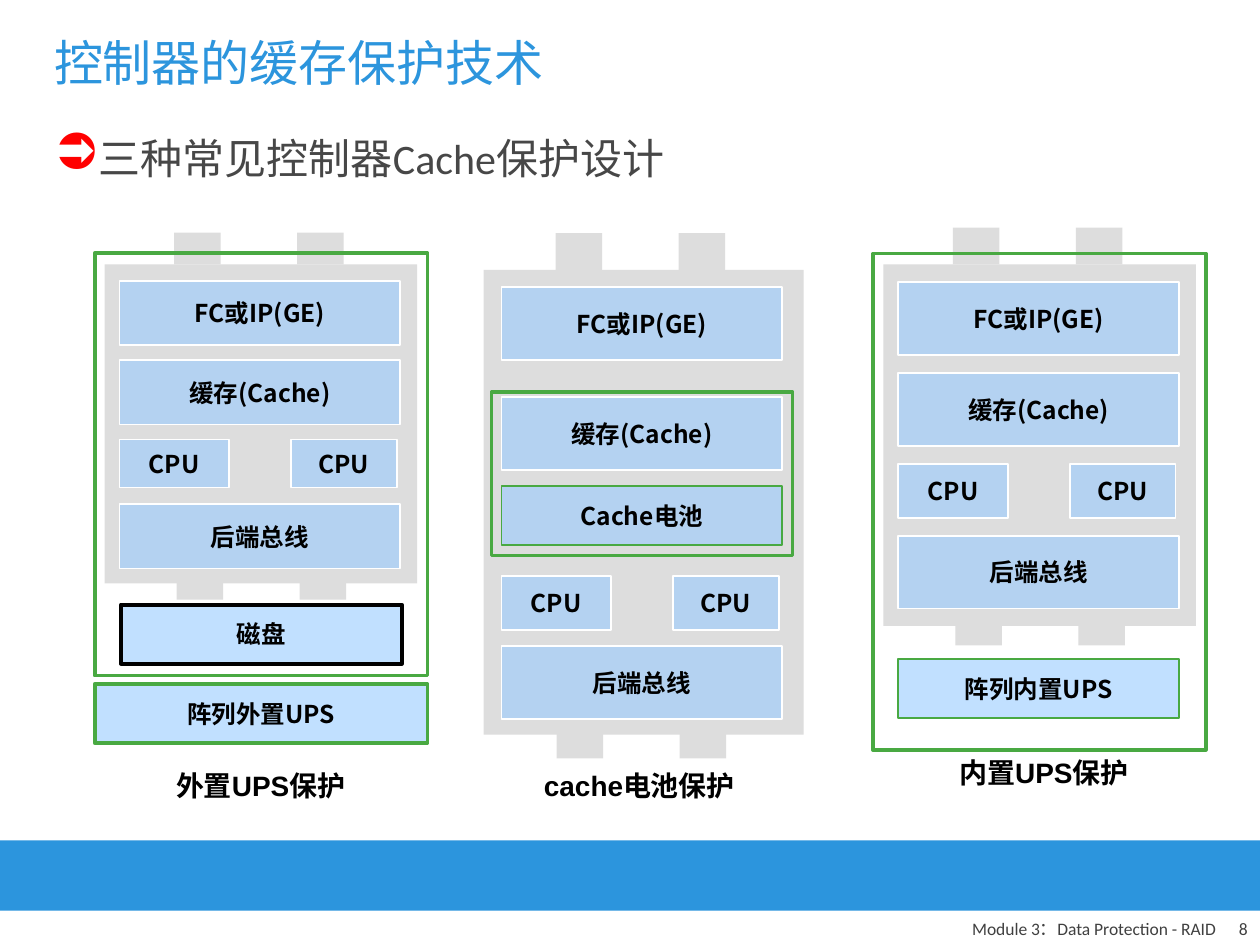
from dataclasses import dataclass
from typing import NamedTuple

from lxml.etree import SubElement
from pptx import Presentation
from pptx.dml.color import RGBColor
from pptx.enum.shapes import MSO_SHAPE as Preset
from pptx.enum.text import MSO_ANCHOR as Anchor, MSO_AUTO_SIZE as AutoSize, PP_ALIGN as Align
from pptx.oxml.ns import qn
from pptx.util import Cm, Pt


class Box(NamedTuple):
    left: float
    top: float
    width: float
    height: float

    def inner(self, left, top, width, height):
        """Return a box whose corner is measured from this one."""
        return Box(self.left + left, self.top + top, width, height)

    def lengths(self):
        """Return the four measures as slide lengths."""
        return [Cm(value) for value in self]


@dataclass(frozen=True)
class Theme:
    blue: str = "2C95DD"
    body: str = "474747"
    footer: str = "404040"
    black: str = "000000"
    white: str = "FFFFFF"
    red: str = "FF0000"
    green: str = "49A942"
    chassis: str = "DDDDDD"
    block: str = "99CCFF"
    block_alpha: int = 60
    title_font: str = "Times New Roman"
    body_font: str = "Calibri"
    block_font: str = "Noto Sans CJK SC"
    caption_font: str = "Arial"
    east_asian_font: str = "Noto Sans CJK SC"
    title_size: int = 28
    body_size: int = 24
    caption_size: int = 16
    block_size: int = 14
    footer_size: int = 10


THEME = Theme()
BLOCK_WIDTH = 5.66
BLOCK_LOW = 1.19
FRAME_WIDTH = 6.71


def write(shape, text, font_name, size, color, bold=False, align=Align.LEFT,
          anchor=Anchor.TOP, wrap=True):
    """Write one styled paragraph into a shape and return it."""
    frame = shape.text_frame
    frame.word_wrap = wrap
    frame.vertical_anchor = anchor
    paragraph = frame.paragraphs[0]
    paragraph.text = text
    paragraph.alignment = align
    font = paragraph.font
    font.name, font.size, font.bold = font_name, Pt(size), bold
    font.color.rgb = RGBColor.from_string(color)
    properties = paragraph._p.pPr.find(qn("a:defRPr"))
    SubElement(properties, qn("a:ea")).set("typeface", THEME.east_asian_font)
    return paragraph


def rectangle(shapes, box, fill=None, line=None, weight=1):
    """Draw a plain rectangle with an optional fill and outline."""
    shape = shapes.add_shape(Preset.RECTANGLE, *box.lengths())
    shape.shadow.inherit = False
    if fill:
        shape.fill.solid()
        shape.fill.fore_color.rgb = RGBColor.from_string(fill)
    else:
        shape.fill.background()
    if line:
        shape.line.color.rgb = RGBColor.from_string(line)
        shape.line.width = Pt(weight)
    else:
        shape.line.fill.background()
    return shape


def block(shapes, box, label, line=THEME.white, weight=1):
    """Draw a translucent labelled component."""
    shape = rectangle(shapes, box, THEME.block, line, weight)
    color = shape._element.spPr.find(f"{qn('a:solidFill')}/{qn('a:srgbClr')}")
    SubElement(color, qn("a:alpha")).set("val", str(THEME.block_alpha * 1000))
    write(shape, label, THEME.block_font, THEME.block_size, THEME.black, True,
          Align.CENTER, Anchor.MIDDLE, wrap=False)


def controller(slide, body, port, foot, port_left, inset, row_tops, row_height, cpu_height):
    """Draw a controller chassis with its ports, feet and components, and return its shapes."""
    shapes = slide.shapes.add_group_shape().shapes
    rectangle(shapes, body, THEME.chassis)
    foot_top, foot_height, foot_shift = foot
    for left in (port_left, port_left + 2.48):
        rectangle(shapes, body.inner(left, -port, 0.94, port), THEME.chassis)
        rectangle(shapes, body.inner(left + foot_shift, foot_top, 0.94, foot_height), THEME.chassis)
    front, cache, cpu, bus = row_tops
    for top, label in ((front, "FC或IP(GE)"), (cache, "缓存(Cache)"), (bus, "后端总线")):
        block(shapes, body.inner(inset, top, BLOCK_WIDTH, row_height), label)
    for left, width in ((0, 2.21), (3.46, 2.13)):
        block(shapes, body.inner(inset + left, cpu, width, cpu_height), "CPU")
    return shapes


def caption(slide, box, text):
    """Place the name of a protection design below its diagram."""
    shape = slide.shapes.add_textbox(*box.lengths())
    write(shape, text, THEME.caption_font, THEME.caption_size, THEME.black, True,
          Align.CENTER, wrap=False)
    shape.text_frame.auto_size = AutoSize.SHAPE_TO_FIT_TEXT


def external_ups(slide, box):
    """Draw the design in which a separate UPS feeds controller and disk."""
    shapes = controller(slide, box.inner(0.2, 0.22, 6.3, 6.43), port=0.64,
                        foot=(6.12, 0.64, 0.05), port_left=1.4, inset=0.3,
                        row_tops=(0.33, 1.93, 3.53, 4.83), row_height=1.3, cpu_height=0.97)
    block(shapes, box.inner(0.53, 7.08, BLOCK_WIDTH, BLOCK_LOW), "磁盘", THEME.black, 2.25)
    rectangle(slide.shapes, box.inner(0, 0, FRAME_WIDTH, 8.51), line=THEME.green, weight=2.25)
    block(slide.shapes, box.inner(0, 8.68, FRAME_WIDTH, BLOCK_LOW), "阵列外置UPS",
          THEME.green, 2.25)
    caption(slide, box.inner(1.25, 10.26, 4.19, 0.94), "外置UPS保护")


def cache_battery(slide, box):
    """Draw the design in which a battery keeps the cache alive."""
    controller(slide, box.inner(0, 0, 6.45, 9.37), port=0.74,
               foot=(8.99, 0.86, 0.02), port_left=1.45, inset=0.36,
               row_tops=(0.35, 2.56, 6.17, 7.59), row_height=1.47, cpu_height=1.09)
    block(slide.shapes, box.inner(0.36, 4.36, BLOCK_WIDTH, BLOCK_LOW), "Cache电池", THEME.green)
    rectangle(slide.shapes, box.inner(0.16, 2.46, 6.07, 3.3), line=THEME.green, weight=2)
    caption(slide, box.inner(0.89, 9.93, 4.5, 0.94), "cache电池保护")


def internal_ups(slide, box):
    """Draw the design in which the UPS sits inside the array."""
    controller(slide, box.inner(0.21, 0.22, 6.3, 7.29), port=0.74,
               foot=(6.94, 0.74, 0.05), port_left=1.4, inset=0.3,
               row_tops=(0.36, 2.19, 4.02, 5.47), row_height=1.47, cpu_height=1.09)
    block(slide.shapes, box.inner(0.51, 8.17, BLOCK_WIDTH, BLOCK_LOW), "阵列内置UPS", THEME.green)
    rectangle(slide.shapes, box.inner(0, 0, FRAME_WIDTH, 10.01), line=THEME.green, weight=2)
    caption(slide, box.inner(1.35, 10, 4.19, 0.94), "内置UPS保护")


def heading(slide, box):
    """Write the slide title and the bulleted statement below it."""
    title = slide.shapes.add_textbox(*box.inner(0, 0, box.width, 2.11).lengths())
    write(title, "控制器的缓存保护技术", THEME.title_font, THEME.title_size, THEME.blue,
          anchor=Anchor.MIDDLE)
    statement = slide.shapes.add_textbox(*box.inner(0, 2.34, box.width, 12.9).lengths())
    paragraph = write(statement, "三种常见控制器Cache保护设计", THEME.body_font,
                      THEME.body_size, THEME.body)
    paragraph.space_before = Pt(6)
    properties = paragraph._p.get_or_add_pPr()
    indent = Cm(0.64)
    properties.set("marL", str(indent))
    properties.set("indent", str(-indent))
    bullet_color = SubElement(properties, qn("a:buClr"))
    SubElement(bullet_color, qn("a:srgbClr")).set("val", THEME.red)
    SubElement(properties, qn("a:buSzPct")).set("val", "120000")
    SubElement(properties, qn("a:buChar")).set("char", "➲")
    properties.append(properties.find(qn("a:defRPr")))


def footer(slide, box):
    """Draw the bottom band with the module name and page number below it."""
    rectangle(slide.shapes, box.inner(0, 0, box.width, 1.42), THEME.blue)
    for left, width, text in ((13.13, 11.63, "Module 3：Data Protection - RAID"),
                              (24.13, 1.27, "8")):
        shape = slide.shapes.add_textbox(*box.inner(left, 1.48, width, 0.64).lengths())
        write(shape, text, THEME.body_font, THEME.footer_size, THEME.footer,
              align=Align.RIGHT, anchor=Anchor.BOTTOM)


def main():
    """Build and save the slide."""
    presentation = Presentation()
    presentation.slide_width, presentation.slide_height = Cm(25.4), Cm(19.05)
    slide = presentation.slides.add_slide(presentation.slide_layouts[6])
    footer(slide, Box(0, 16.94, 25.4, 2.11))
    heading(slide, Box(0.84, 0.2, 23.5, 15.24))
    external_ups(slide, Box(1.91, 5.11, FRAME_WIDTH, 11.2))
    cache_battery(slide, Box(9.75, 5.44, 6.45, 10.87))
    internal_ups(slide, Box(17.6, 5.11, FRAME_WIDTH, 10.94))
    presentation.save("out.pptx")


if __name__ == "__main__":
    main()
